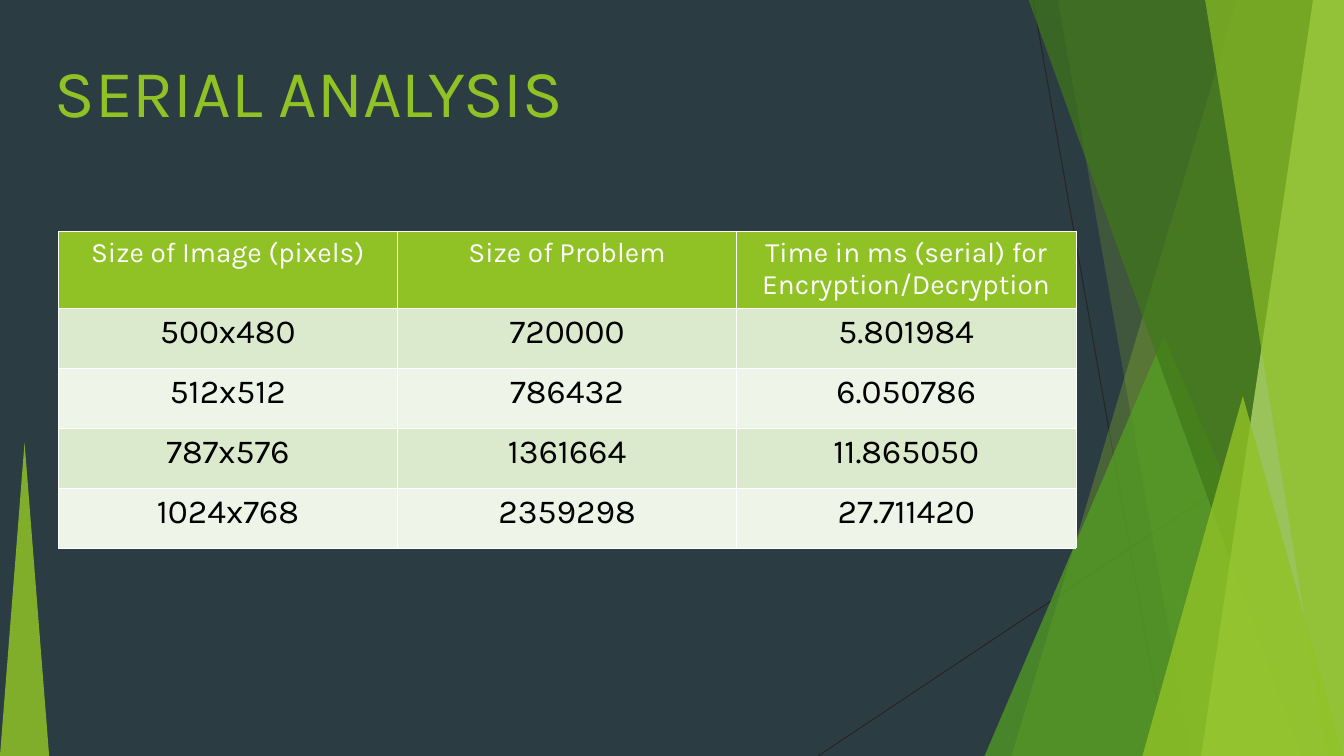
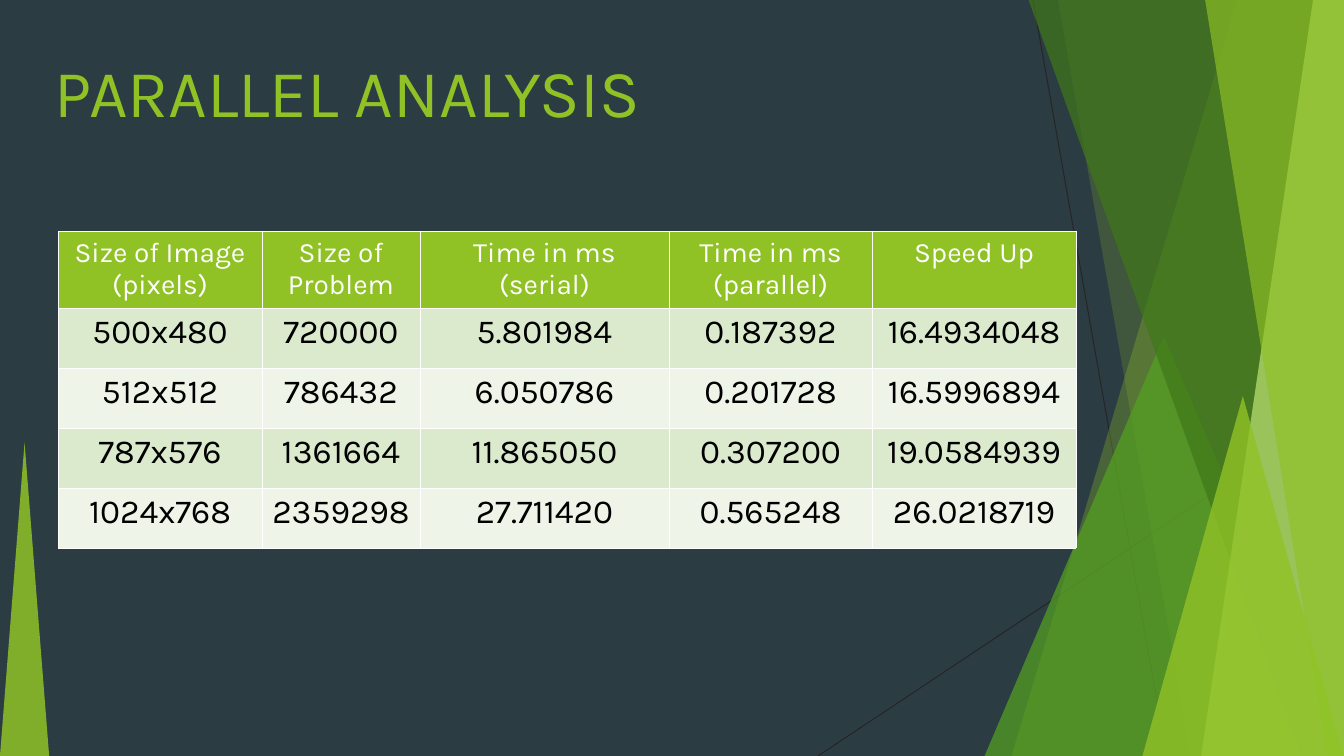
"""Build two slides with serial and parallel timing tables."""
from lxml import etree
from pptx import Presentation
from pptx.dml.color import RGBColor
from pptx.enum.shapes import MSO_CONNECTOR, MSO_SHAPE, PP_PLACEHOLDER
from pptx.enum.text import MSO_ANCHOR, PP_ALIGN
from pptx.oxml.ns import qn
from pptx.util import Cm, Pt

STRAIGHT = MSO_CONNECTOR.STRAIGHT
TRIANGLE = MSO_SHAPE.ISOSCELES_TRIANGLE
TITLE = PP_PLACEHOLDER.TITLE
MIDDLE = MSO_ANCHOR.MIDDLE
LEFT, CENTER = PP_ALIGN.LEFT, PP_ALIGN.CENTER

FONT = "Karla"
SLATE, LIME, GREEN, FOREST, PALE_LIME = "2C3C43", "90C226", "54A021", "3F7819", "C0E474"
WHITE, BLACK, CHARCOAL = "FFFFFF", "000000", "262626"
ROW_BANDS = ["DBE9CC", "EEF4E7"]
SLIDE_WIDTH, SLIDE_HEIGHT = 33.88, 19.05
TABLE_LEFT, TABLE_TOP = 1.47, 5.84
HEADER_HEIGHT, ROW_HEIGHT = 1.93, 1.51

SIZES = ["500x480", "512x512", "787x576", "1024x768"]
PROBLEMS = ["720000", "786432", "1361664", "2359298"]
SERIAL_TIMES = ["5.801984", "6.050786", "11.865050", "27.711420"]
PARALLEL_TIMES = ["0.187392", "0.201728", "0.307200", "0.565248"]
SPEED_UPS = ["16.4934048", "16.5996894", "19.0584939", "26.0218719"]

ANALYSES = [
    ("SERIAL ANALYSIS", [
        ("Size of Image (pixels)", 8.55, SIZES),
        ("Size of Problem", 8.55, PROBLEMS),
        ("Time in ms (serial) for Encryption/Decryption", 8.55, SERIAL_TIMES),
    ]),
    ("PARALLEL ANALYSIS", [
        ("Size of Image (pixels)", 5.13, SIZES),
        ("Size of Problem", 3.99, PROBLEMS),
        ("Time in ms (serial)", 6.27, SERIAL_TIMES),
        ("Time in ms (parallel)", 5.13, PARALLEL_TIMES),
        ("Speed Up", 5.13, SPEED_UPS),
    ]),
]

RAYS = [(26.04, 0, 29.41, SLIDE_HEIGHT), (33.86, 10.24, 20.62, SLIDE_HEIGHT)]
FACETS = [
    ("band", (31.19, 25.5), LIME, 30),
    ("band", (26.67, 30.02), LIME, 20),
    ("peak", (24.82, 8.47, 9.04), GREEN, 72),
    ("band", (25.93, 32.79), FOREST, 70),
    ("band", (33.1, 30.28), PALE_LIME, 70),
    ("band", (30.38, 33.45), LIME, 65),
    ("peak", (28.8, 9.98, 5.06), LIME, 80),
    ("peak", (0, 11.15, 1.24), LIME, 85),
]


def rgb(value):
    return RGBColor.from_string(value)


def paint(shape, color, opacity):
    shape.shadow.inherit = False
    shape.fill.solid()
    shape.fill.fore_color.rgb = rgb(color)
    shape.line.fill.background()
    tint = shape.element.find(".//" + qn("a:srgbClr"))
    etree.SubElement(tint, qn("a:alpha"), val=str(opacity * 1000))


def add_band(shapes, top_x, bottom_x):
    outline = shapes.build_freeform(Cm(top_x), 0)
    corners = [(SLIDE_WIDTH, 0), (SLIDE_WIDTH, SLIDE_HEIGHT), (bottom_x, SLIDE_HEIGHT)]
    outline.add_line_segments([(Cm(x), Cm(y)) for x, y in corners], close=True)
    return outline.convert_to_shape()


def add_peak(shapes, left, top, width):
    return shapes.add_shape(TRIANGLE, Cm(left), Cm(top), Cm(width), Cm(SLIDE_HEIGHT - top))


def draw_facets(shapes):
    drawn = []
    for ends in RAYS:
        ray = shapes.add_connector(STRAIGHT, *[Cm(end) for end in ends])
        ray.line.color.rgb = rgb(CHARCOAL)
        ray.line.width = Pt(0.75)
        etree.SubElement(ray.element.spPr, qn("a:effectLst"))
        drawn.append(ray)
    builders = {"band": add_band, "peak": add_peak}
    for kind, place, color, opacity in FACETS:
        facet = builders[kind](shapes, *place)
        paint(facet, color, opacity)
        drawn.append(facet)
    return drawn


def move_to_layout(drawn, layout):
    for placeholder in list(layout.placeholders):
        if placeholder.placeholder_format.type != TITLE:
            layout.shapes.element.remove(placeholder.element)
    for position, shape in enumerate(drawn, start=2):
        layout.shapes.element.insert(position, shape.element)


def format_text(paragraph, size, color, align):
    paragraph.alignment = align
    for run in paragraph.runs:
        run.font.name = FONT
        run.font.size = Pt(size)
        run.font.bold = False
        run.font.color.rgb = rgb(color)


def set_title(title, text):
    title.left, title.top, title.width, title.height = Cm(1.12), Cm(0.94), Cm(23.88), Cm(2.67)
    title.text_frame.text = text
    title.text_frame.vertical_anchor = MIDDLE
    format_text(title.text_frame.paragraphs[0], 48, LIME, LEFT)


def fill_cell(cell, text, size, color, background):
    cell.margin_left = cell.margin_right = Cm(0.24)
    cell.text_frame.text = text
    paragraph = cell.text_frame.paragraphs[0]
    paragraph.line_spacing = 0.97
    format_text(paragraph, size, color, CENTER)
    properties = cell._tc.get_or_add_tcPr()
    for side in ("a:lnL", "a:lnR", "a:lnT", "a:lnB"):
        border = etree.SubElement(properties, qn(side), w=str(Pt(0.45)))
        stroke = etree.SubElement(border, qn("a:solidFill"))
        etree.SubElement(stroke, qn("a:srgbClr"), val=WHITE)
    cell.fill.solid()
    cell.fill.fore_color.rgb = rgb(background)


def add_timings(shapes, columns):
    row_count = len(SIZES) + 1
    width = sum(column_width for _, column_width, _ in columns)
    height = HEADER_HEIGHT + ROW_HEIGHT * len(SIZES)
    timings = shapes.add_table(row_count, len(columns), Cm(TABLE_LEFT), Cm(TABLE_TOP),
                               Cm(width), Cm(height)).table
    for index, row in enumerate(timings.rows):
        row.height = Cm(ROW_HEIGHT if index else HEADER_HEIGHT)
    for index, (heading, column_width, values) in enumerate(columns):
        timings.columns[index].width = Cm(column_width)
        fill_cell(timings.cell(0, index), heading, 20, WHITE, LIME)
        for row, value in enumerate(values):
            fill_cell(timings.cell(row + 1, index), value, 24, BLACK, ROW_BANDS[row % 2])


def main():
    deck = Presentation()
    deck.slide_width, deck.slide_height = Cm(SLIDE_WIDTH), Cm(SLIDE_HEIGHT)
    layout = deck.slide_layouts.get_by_name("Title Only")
    backdrop = deck.slide_master.background.fill
    backdrop.solid()
    backdrop.fore_color.rgb = rgb(SLATE)
    slides = [deck.slides.add_slide(layout) for _ in ANALYSES]
    move_to_layout(draw_facets(slides[0].shapes), layout)
    for slide, (heading, columns) in zip(slides, ANALYSES):
        set_title(slide.shapes.title, heading)
        add_timings(slide.shapes, columns)
    deck.save("out.pptx")


if __name__ == "__main__":
    main()
